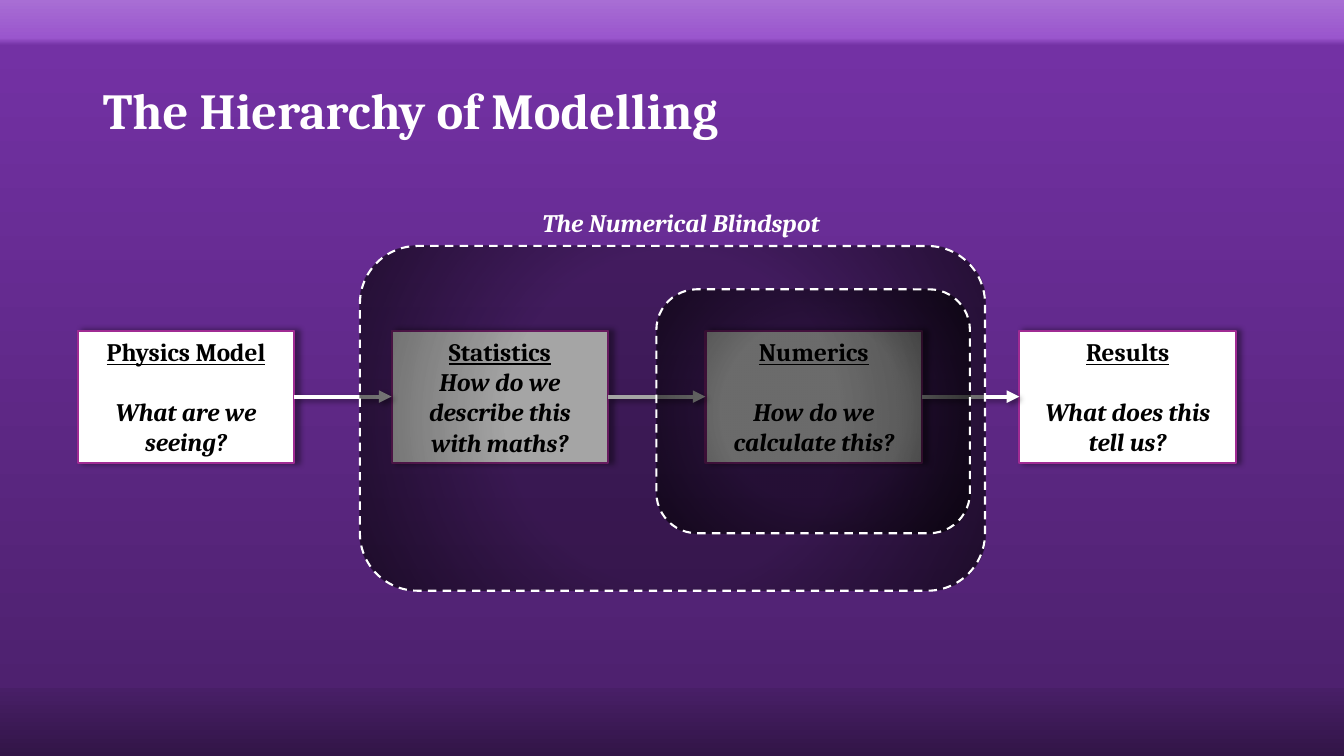
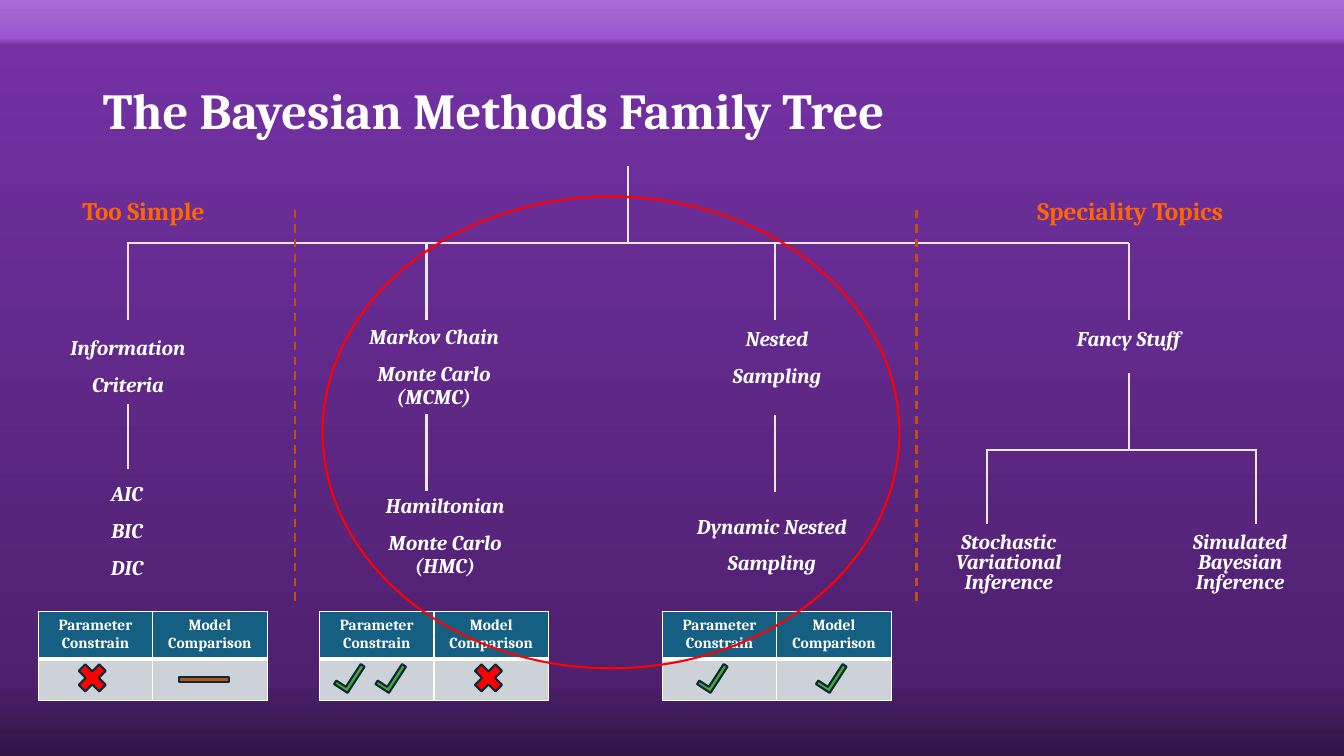
import pptx
import pptx.util
import pptx.dml.color
import pptx.enum.dml
import pptx.enum.shapes
import pptx.enum.text
import pptx.oxml
import pptx.oxml.ns

Inches = pptx.util.Inches
Pt = pptx.util.Pt
RGB = pptx.dml.color.RGBColor
Shape = pptx.enum.shapes.MSO_SHAPE
Align = pptx.enum.text.PP_ALIGN
Anchor = pptx.enum.text.MSO_ANCHOR
DASH = pptx.enum.dml.MSO_LINE.DASH
qn = pptx.oxml.ns.qn
NS = 'xmlns:a="http://schemas.openxmlformats.org/drawingml/2006/main"'

FONT = "Cambria"
WHITE = RGB(0xFF, 0xFF, 0xFF)
BLACK = RGB(0, 0, 0)
PLUM = RGB(0xA0, 0x2B, 0x93)
PALE = RGB(0xE8, 0xE8, 0xE8)
RUST = RGB(0xC0, 0x4F, 0x15)
ORANGE = RGB(0xFF, 0x66, 0x00)
RED = RGB(0xFF, 0, 0)
GREEN = RGB(0x4E, 0xA7, 0x2E)
INK = RGB(0x09, 0x2A, 0x39)
TEAL = RGB(0x15, 0x60, 0x82)
GREY = RGB(0xCC, 0xD2, 0xD8)

BACK = [
    (0, RGB(0xA8, 0x6E, 0xD4), 100), (5, RGB(0x9A, 0x56, 0xCD), 100),
    (6, RGB(0x73, 0x31, 0xA4), 100), (91, RGB(0x4E, 0x21, 0x6F), 100),
    (91, RGB(0x48, 0x1F, 0x67), 100), (100, RGB(0x32, 0x15, 0x47), 100),
]
DOWN = '<a:lin ang="5400000" scaled="0"/>'
SHADE = [(47, BLACK, 35), (100, BLACK, 65)]
ROUND = ('<a:path path="circle"><a:fillToRect l="50000" t="50000" '
         'r="50000" b="50000"/></a:path>')

MARKS = {
    "cross": (Shape.MATH_MULTIPLY, 6.53, 0.39, 0.39, RED),
    "tick": (Shape.CORNER, 6.62, 0.31, 0.16, GREEN),
    "dash": (Shape.MATH_MINUS, 6.63, 0.67, 0.22, RUST),
}


def xml(text):
    return pptx.oxml.parse_xml(f"<a:wrap {NS}>{text}</a:wrap>")[0]


def blend(props, stops, way):
    marks = "".join(
        f'<a:gs pos="{pos * 1000}"><a:srgbClr val="{color}">'
        f'<a:alpha val="{alpha * 1000}"/></a:srgbClr></a:gs>'
        for pos, color, alpha in stops)
    old = props.find(qn("a:solidFill"))
    props.replace(old, xml(
        f'<a:gradFill rotWithShape="1"><a:gsLst>{marks}</a:gsLst>{way}</a:gradFill>'))


def shade(props, angle):
    old = props.find(qn("a:effectLst"))
    if old is not None:
        props.remove(old)
    props.append(xml(
        f'<a:effectLst><a:outerShdw blurRad="{Pt(4)}" dist="{Pt(3)}" '
        f'dir="{angle * 60000}" algn="tl" rotWithShape="0">'
        '<a:srgbClr val="000000"><a:alpha val="40000"/></a:srgbClr>'
        '</a:outerShdw></a:effectLst>'))


def style(para, size, color, italic=False, under=False):
    font = para.font
    font.name = FONT
    font.size = Pt(size)
    font.bold = True
    font.italic = italic
    font.underline = under
    font.color.rgb = color


def head(slide, text):
    title = slide.shapes.title
    title.left, title.top = Inches(0.92), Inches(0.4)
    title.width, title.height = Inches(11.5), Inches(1.45)
    frame = title.text_frame
    frame.text = text
    frame.vertical_anchor = Anchor.MIDDLE
    para = frame.paragraphs[0]
    para.alignment = Align.LEFT
    para.line_spacing = 0.9
    style(para, 36, WHITE)


def page(deck, text):
    slide = deck.slides.add_slide(deck.slide_layouts[5])
    head(slide, text)
    return slide


def form(slide, kind, left, top, wide, high, fill, edge):
    shape = slide.shapes.add_shape(
        kind, Inches(left), Inches(top), Inches(wide), Inches(high))
    shape.shadow.inherit = False
    if fill is None:
        shape.fill.background()
    else:
        shape.fill.solid()
        shape.fill.fore_color.rgb = fill
    shape.line.color.rgb = edge
    shape.line.width = Pt(1.5)
    return shape


def line(slide, x1, y1, x2, y2, color=PALE, width=1.5):
    link = slide.shapes.add_connector(
        pptx.enum.shapes.MSO_CONNECTOR.STRAIGHT,
        Inches(x1), Inches(y1), Inches(x2), Inches(y2))
    link.line.color.rgb = color
    link.line.width = Pt(width)
    link.element.spPr.append(xml("<a:effectLst/>"))
    return link


def box(slide, left, top, wide, high):
    frame = slide.shapes.add_textbox(
        Inches(left), Inches(top), Inches(wide), Inches(high)).text_frame
    frame.word_wrap = True
    return frame


def label(slide, text, left, top, wide, color, italic=False):
    frame = box(slide, left, top, wide, 0.4)
    frame.text = text
    style(frame.paragraphs[0], 18, color, italic)


def node(slide, lines, left, top, wide, high, lead=0.9):
    frame = box(slide, left, top, wide, high)
    frame.text = "\n".join(lines)
    for i, para in enumerate(frame.paragraphs):
        para.alignment = Align.CENTER
        para.line_spacing = lead
        if i:
            para.space_before = Pt(10)
        style(para, 15, WHITE, italic=True)


def card(slide, name, ask, left, gap):
    shape = form(slide, Shape.RECTANGLE, left, 3.28, 2.15, 1.31, WHITE, PLUM)
    shade(shape.element.spPr, 0)
    frame = shape.text_frame
    frame.word_wrap = True
    frame.vertical_anchor = Anchor.MIDDLE
    frame.text = f"{name}\n{ask}"
    top, low = frame.paragraphs
    low.space_before = Pt(gap)
    for para in (top, low):
        para.alignment = Align.CENTER
        style(para, 18, BLACK, italic=para is low, under=para is top)
    return shape


def arrow(slide, start, end):
    link = line(slide, 0, 0, 1, 1, WHITE, 3)
    link.begin_connect(start, 3)
    link.end_connect(end, 1)
    props = link.element.spPr
    props.find(qn("a:ln")).append(xml('<a:tailEnd type="triangle"/>'))
    shade(props, 45)


def zone(slide, left, top, wide, high):
    shape = form(slide, Shape.ROUNDED_RECTANGLE, left, top, wide, high, BLACK, WHITE)
    shape.line.dash_style = DASH
    blend(shape.element.spPr, SHADE, ROUND)


def paint(cell, fill, base):
    props = cell._tc.get_or_add_tcPr()
    for side, width in (("L", 1), ("R", 1), ("T", 4 - base), ("B", base)):
        props.append(xml(
            f'<a:ln{side} w="{Pt(width)}"><a:solidFill><a:srgbClr val="{WHITE}"/>'
            f'</a:solidFill></a:ln{side}>'))
    cell.fill.solid()
    cell.fill.fore_color.rgb = fill


def grid(slide, left):
    table = slide.shapes.add_table(
        2, 2, Inches(left), Inches(6.07), Inches(2.27), Inches(0.87)).table
    table.rows[0].height = Inches(0.46)
    table.rows[1].height = Inches(0.41)
    for col, text in enumerate(("Parameter Constrain", "Model Comparison")):
        cell = table.cell(0, col)
        cell.text = text
        para = cell.text_frame.paragraphs[0]
        para.alignment = Align.CENTER
        style(para, 11, WHITE)
        paint(cell, TEAL, 3)
        paint(table.cell(1, col), GREY, 1)


def mark(slide, name, left):
    kind, top, wide, high, fill = MARKS[name]
    shape = form(slide, kind, left, top, wide, high, fill, INK)
    if name == "tick":
        shape.rotation = 303
        shape.adjustments[0] = 0.29
        shape.adjustments[1] = 0.26


def flow(deck):
    slide = page(deck, "The Hierarchy of Modelling")
    steps = [
        ("Physics Model", "What are we seeing?", 21),
        ("Statistics", "How do we describe this with maths?", 0),
        ("Numerics", "How do we calculate this?", 21),
        ("Results", "What does this tell us?", 21),
    ]
    pitch = (10.11 - 0.77) / 3
    cards = [card(slide, name, ask, 0.77 + i * pitch, gap)
             for i, (name, ask, gap) in enumerate(steps)]
    for start, end in zip(cards, cards[1:]):
        arrow(slide, start, end)
    label(slide, "The Numerical Blindspot", 5.28, 2.01, 3.41, WHITE, True)
    zone(slide, 3.57, 2.44, 6.2, 3.42)
    zone(slide, 6.51, 2.87, 3.11, 2.42)


def tree(deck):
    slide = page(deck, "The Bayesian Methods Family Tree")
    line(slide, 1.26, 2.41, 11.2, 2.41)
    line(slide, 9.79, 4.46, 12.46, 4.46)
    stems = [(x, 2.41, 3.17) for x in (1.27, 4.23, 7.69, 11.2)]
    stems += [(x, 4.45, 5.2) for x in (9.79, 12.46)]
    stems += [(6.23, 1.65, 2.41), (1.27, 4.01, 4.65), (4.23, 4.11, 4.87),
              (7.69, 4.12, 4.88), (11.2, 3.7, 4.46)]
    for x, top, low in stems:
        line(slide, x, top, x, low)

    node(slide, ["Information", "Criteria"], 0.17, 3.3, 2.2, 0.82)
    node(slide, ["Markov Chain", "Monte Carlo\v(MCMC)"], 3.07, 3.19, 2.47, 0.82)
    node(slide, ["Hamiltonian", "Monte Carlo\v(HMC)"], 3.07, 4.87, 2.69, 0.9)
    node(slide, ["Nested", "Sampling"], 6.92, 3.21, 1.57, 0.82)
    node(slide, ["Dynamic Nested", "Sampling"], 6.62, 5.07, 2.07, 0.82)
    node(slide, ["AIC", "BIC", "DIC"], 0.56, 4.75, 1.4, 1.22)
    node(slide, ["Fancy Stuff"], 10.33, 3.21, 1.73, 0.4)
    node(slide, ["Stochastic Variational Inference"], 9.14, 5.24, 1.73, 0.76, 0.8)
    node(slide, ["Simulated Bayesian Inference"], 11.57, 5.24, 1.46, 0.76, 0.8)

    for left in (0.38, 3.17, 6.57):
        grid(slide, left)
    for name, spots in (("cross", (0.72, 4.65)), ("dash", (1.69,)),
                        ("tick", (3.31, 3.72, 6.91, 8.09))):
        for left in spots:
            mark(slide, name, left)

    for x in (2.93, 9.09):
        line(slide, x, 5.96, x, 2.03, RUST).line.dash_style = DASH
    label(slide, "Too Simple", 0.72, 1.89, 1.8, ORANGE)
    label(slide, "Speciality Topics", 10.19, 1.89, 2.46, ORANGE)
    form(slide, Shape.OVAL, 3.2, 1.95, 5.72, 4.68, None, RED)


def main():
    deck = pptx.Presentation()
    deck.slide_width, deck.slide_height = Inches(13.33), Inches(7.5)
    master = deck.slide_master
    master.background.fill.solid()
    blend(master.element.find(".//" + qn("p:bgPr")), BACK, DOWN)
    flow(deck)
    tree(deck)
    deck.save("out.pptx")


if __name__ == "__main__":
    main()
